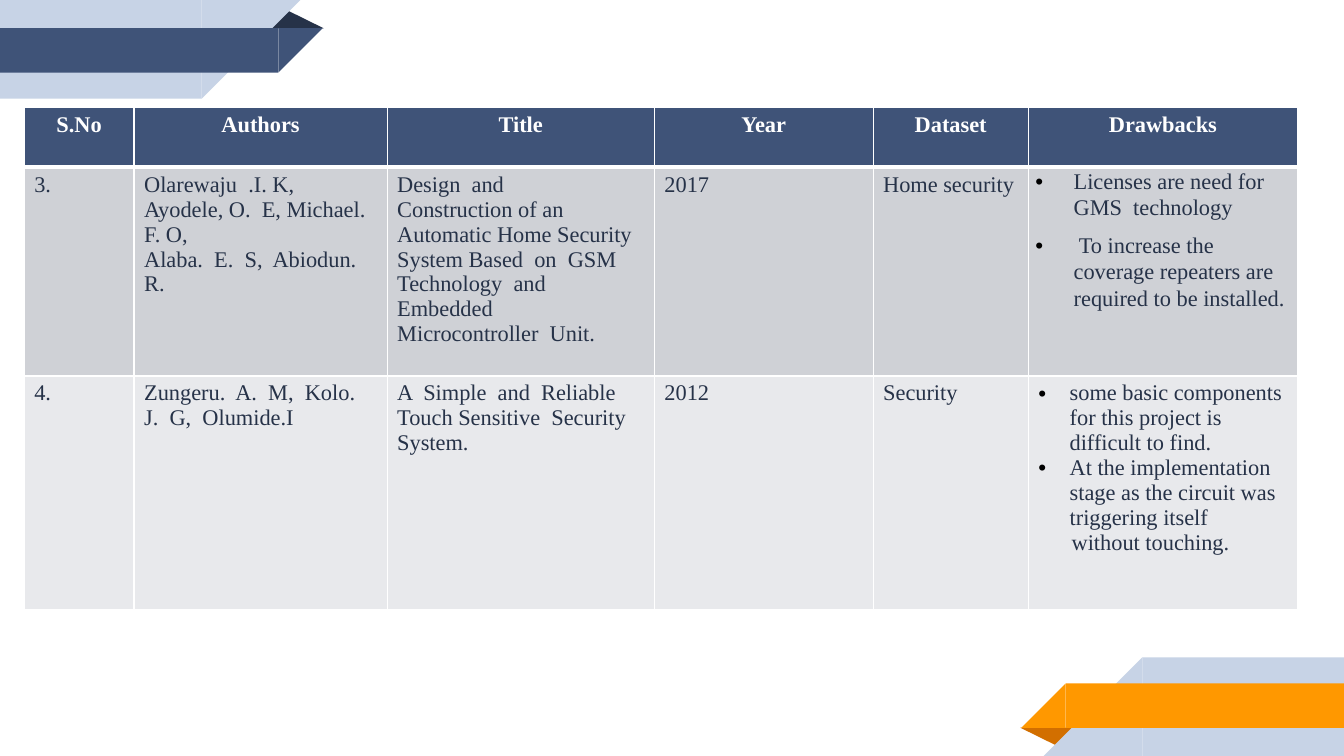
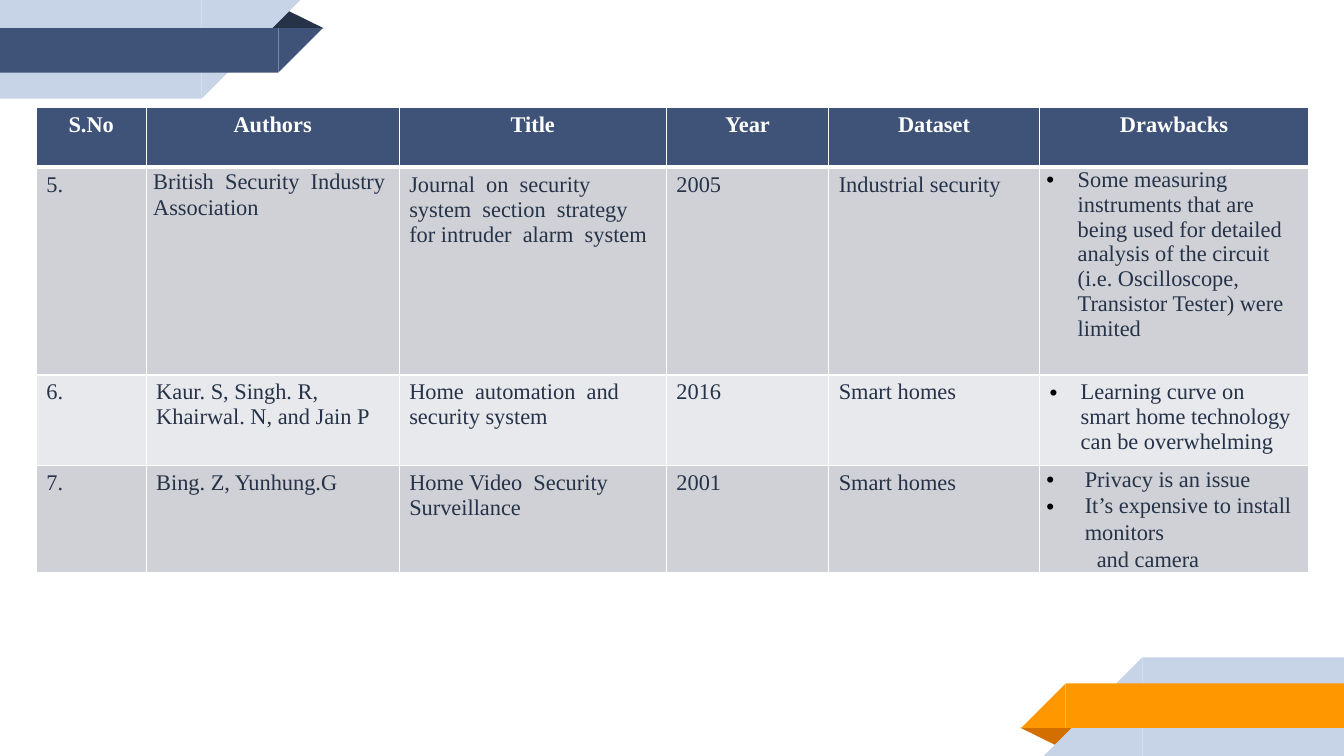
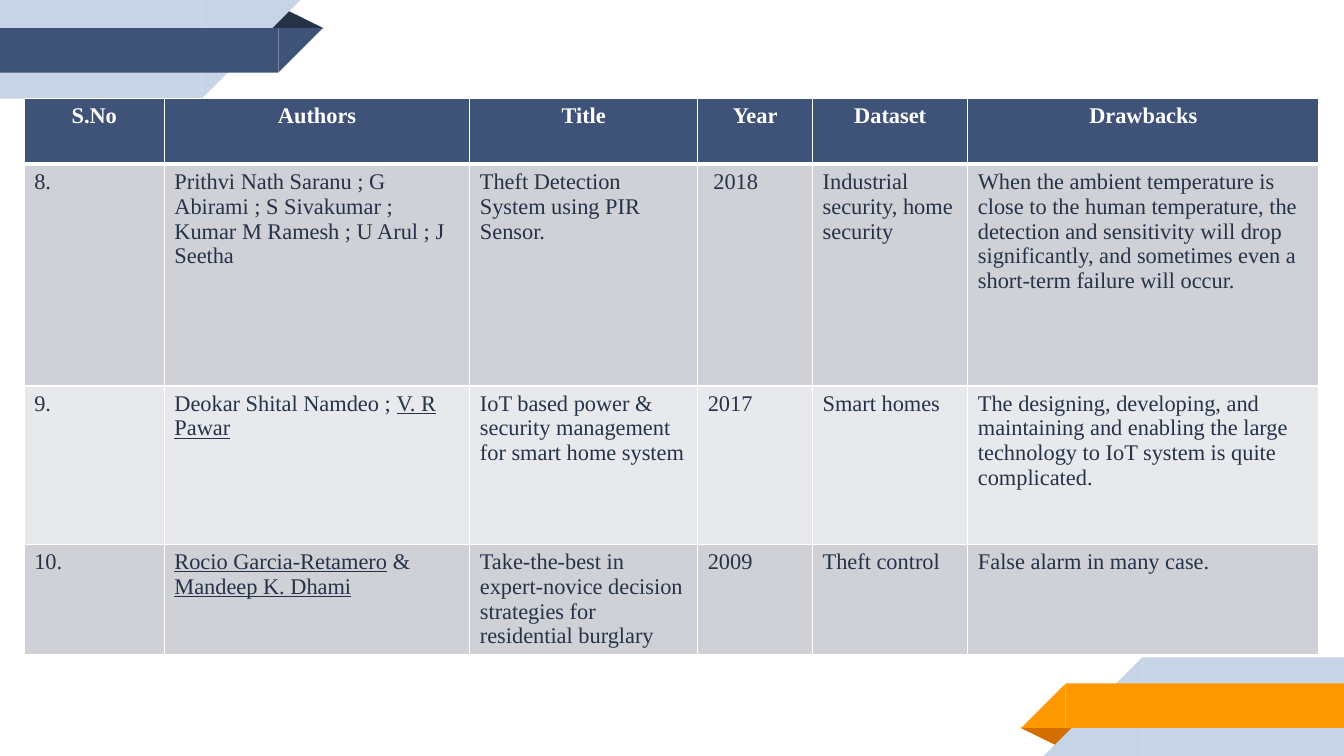
"""Build three literature survey slides."""
from collections import namedtuple

from lxml import etree
from pptx import Presentation
from pptx import util as u
from pptx.dml.color import RGBColor
from pptx.enum import shapes, text
from pptx.oxml import ns

WIDTH, HEIGHT = 13.33, 7.5
NAVY, INK, PALE, WHITE, BLACK = "3F5378", "263248", "C7D3E6", "FFFFFF", "000000"
ORANGE, RUST = "FF9800", "D26F00"
BANDS = ("CFD1D6", "E8E9EC")
HEADINGS = ("S.No", "Authors", "Title", "Year", "Dataset", "Drawbacks")

Line = namedtuple("Line", "text left bullet spacing after", defaults=(0, False, None, None))
Cell = namedtuple("Cell", "lines tight", defaults=(False,))


def colour(value):
    """Turn a hex string into a colour."""
    return RGBColor.from_string(value)


def apply(target, values):
    """Set each named attribute that has a value."""
    for name, value in values.items():
        if value is not None:
            setattr(target, name, value)


def fill(target, value):
    """Give a shape or cell a solid fill."""
    target.fill.solid()
    target.fill.fore_color.rgb = colour(value)


def add_child(parent, tag, **attributes):
    """Append a DrawingML element."""
    return etree.SubElement(parent, ns.qn(f"a:{tag}"), attributes)


def bullet(text_line, size):
    """Describe a bulleted line with a hanging indent."""
    return Line(text_line, size, True)


def spaced_bullet(text_line, after=None):
    """Describe a bulleted line with wider leading."""
    return Line(text_line, 0.38, True, 1.07, after)


def add_corner(slide, layout, fold_colour, band_colour, turned):
    """Draw a folded ribbon on the layout, turned for the lower corner."""
    kinds = shapes.MSO_SHAPE
    parts = [(kinds.ISOSCELES_TRIANGLE, 2.64, 0.09, 0.57, 0.19, 0, fold_colour)]
    for length, top, size, value in ((2, 0, 0.98, PALE), (2.76, 0.28, 0.44, band_colour)):
        parts.append((kinds.RECTANGLE, 0, top, length, size, 0, value))
        parts.append((kinds.RIGHT_TRIANGLE, length, top, size, size, 90, value))
    for kind, left, top, width, height, angle, value in parts:
        if turned:
            left, top, angle = WIDTH - left - width, HEIGHT - top - height, angle + 180
        shape = slide.shapes.add_shape(kind, *map(u.Inches, (left, top, width, height)))
        if kind == kinds.ISOSCELES_TRIANGLE:
            shape.adjustments[0] = 0.324
        shape.rotation = angle
        shape.shadow.inherit = False
        shape.line.fill.background()
        fill(shape, value)
        layout.shapes.element.append(shape.element)


def border(cell, top, bottom):
    """Draw white cell borders with the given top and bottom weights."""
    properties = cell._tc.get_or_add_tcPr()
    for side, weight in (("L", 1), ("R", 1), ("T", top), ("B", bottom)):
        line = add_child(properties, f"ln{side}", w=str(u.Pt(weight)))
        add_child(add_child(line, "solidFill"), "srgbClr", val=WHITE)


def write_line(paragraph, line, font, alignment):
    """Write a line, underlining what stands between underscores."""
    apply(paragraph, {
        "alignment": alignment,
        "line_spacing": line.spacing,
        "space_after": line.after and u.Pt(line.after),
    })
    properties = paragraph._p.get_or_add_pPr()
    if line.left:
        margin = u.Inches(line.left)
        properties.set("marL", str(margin))
        properties.set("indent", str(-margin if line.bullet else 0))
    if line.bullet:
        add_child(add_child(properties, "buClr"), "srgbClr", val=BLACK)
        add_child(properties, "buFont", typeface="Arial")
        add_child(properties, "buChar", char="•")
    for index, part in enumerate(line.text.split("_")):
        if part:
            run = paragraph.add_run()
            run.text = part
            apply(run.font, {**font, "underline": True if index % 2 else None})
            run.font.color.rgb = colour(WHITE if font["bold"] else INK)


def write_cell(cell, content, heading):
    """Write the lines of a cell."""
    if isinstance(content, str):
        content = Cell([Line(part) for part in content.split("\n")])
    side, edge = (0.07, 0) if content.tight else (0.1, 0.05)
    apply(cell, {
        "margin_left": u.Inches(side), "margin_right": u.Inches(side),
        "margin_top": u.Inches(edge), "margin_bottom": u.Inches(edge),
    })
    font = {"name": "Times New Roman", "size": u.Pt(16), "bold": heading}
    alignment = text.PP_ALIGN.CENTER if heading else None
    for index, line in enumerate(content.lines):
        frame = cell.text_frame
        paragraph = frame.add_paragraph() if index else frame.paragraphs[0]
        write_line(paragraph, line, font, alignment)


def add_survey(slide, left, top, columns, heights, rows):
    """Add a survey table with its heading row."""
    box = map(u.Inches, (left, top, sum(columns), sum(heights)))
    table = slide.shapes.add_table(len(heights), len(columns), *box).table
    for column, width in zip(table.columns, columns):
        column.width = u.Inches(width)
    for row, height in zip(table.rows, heights):
        row.height = u.Inches(height)
    for row_index, contents in enumerate((HEADINGS, *rows)):
        heading = row_index == 0
        for column_index, content in enumerate(contents):
            cell = table.cell(row_index, column_index)
            border(cell, 3 if row_index == 1 else 1, 3 if heading else 1)
            fill(cell, NAVY if heading else BANDS[(row_index - 1) % 2])
            write_cell(cell, content, heading)


SURVEYS = (
    {
        "left": 0.24, "top": 1.07,
        "columns": (1.09, 2.51, 2.65, 2.17, 1.54, 2.67),
        "heights": (0.59, 2.07, 2.32),
        "rows": (
            ("3.",
             "Olarewaju  .I. K,  Ayodele, O.  E, Michael. F. O,\nAlaba.  E.  S,  Abiodun.  R.",
             "Design  and\nConstruction of an Automatic Home Security System Based  on  GSM  "
             "Technology  and  Embedded\nMicrocontroller  Unit.",
             "2017", "Home security",
             Cell([spaced_bullet("Licenses are need for GMS  technology", 8),
                   spaced_bullet(" To increase the coverage repeaters are required "
                                 "to be installed.")], True)),
            ("4.", "Zungeru.  A.  M,  Kolo.  J.  G,  Olumide.I",
             "A  Simple  and  Reliable  Touch Sensitive  Security  System.",
             "2012", "Security",
             Cell([bullet("some basic components for this project is difficult to find.", 0.31),
                   bullet("At the implementation stage as the circuit was triggering itself",
                          0.31),
                   Line("without touching.", 0.33)])),
        ),
    },
    {
        "left": 0.36, "top": 1.07,
        "columns": (1.09, 2.51, 2.65, 1.61, 2.09, 2.67),
        "heights": (0.59, 2.06, 0.9, 1.06),
        "rows": (
            ("5.",
             Cell([Line("British  Security  Industry  Association", spacing=1.07)], True),
             "Journal  on  security  system  section  strategy  for intruder  alarm  system",
             "2005", "Industrial security",
             Cell([bullet("Some measuring instruments that are being used for detailed analysis "
                          "of the circuit (i.e. Oscilloscope, Transistor Tester) were limited",
                          0.31)], True)),
            ("6.", "Kaur. S, Singh. R, Khairwal. N, and Jain P",
             "Home  automation  and  security system", "2016", "Smart homes",
             Cell([bullet("Learning curve on smart home technology can be overwhelming",
                          0.31)])),
            ("7.", "Bing. Z, Yunhung.G", "Home Video  Security Surveillance",
             "2001", "Smart homes",
             Cell([spaced_bullet("Privacy is an issue"),
                   spaced_bullet("It’s expensive to install monitors"),
                   Line("and camera", 0.5, spacing=1.07)], True)),
        ),
    },
    {
        "left": 0.24, "top": 0.98,
        "columns": (1.39, 3.03, 2.26, 1.14, 1.54, 3.48),
        "heights": (0.65, 2.2, 1.57, 1.09),
        "rows": (
            ("8.",
             "Prithvi Nath Saranu ; G Abirami ; S Sivakumar ; Kumar M Ramesh ; U Arul ; J Seetha",
             "Theft Detection System using PIR Sensor.", " 2018",
             "Industrial security, home security",
             "When the ambient temperature is close to the human temperature, the detection and "
             "sensitivity will drop significantly, and sometimes even a short-term failure "
             "will occur."),
            ("9.", "Deokar Shital Namdeo ; _V. R Pawar_",
             "IoT based power & security management for smart home system",
             "2017", "Smart homes",
             "The designing, developing, and maintaining and enabling the large technology "
             "to IoT system is quite complicated."),
            ("10.", "_Rocio Garcia-Retamero_ & \n_Mandeep K. Dhami_",
             "Take-the-best in expert-novice decision strategies for residential burglary",
             "2009", "Theft control", "False alarm in many case."),
        ),
    },
)


def main():
    """Build and save the presentation."""
    presentation = Presentation()
    apply(presentation, {"slide_width": u.Inches(WIDTH), "slide_height": u.Inches(HEIGHT)})
    layout = presentation.slide_layouts[6]
    slides = [presentation.slides.add_slide(layout) for _ in SURVEYS]
    add_corner(slides[0], layout, INK, NAVY, False)
    add_corner(slides[0], layout, RUST, ORANGE, True)
    for slide, survey in zip(slides, SURVEYS):
        add_survey(slide, **survey)
    presentation.save("out.pptx")


if __name__ == "__main__":
    main()
